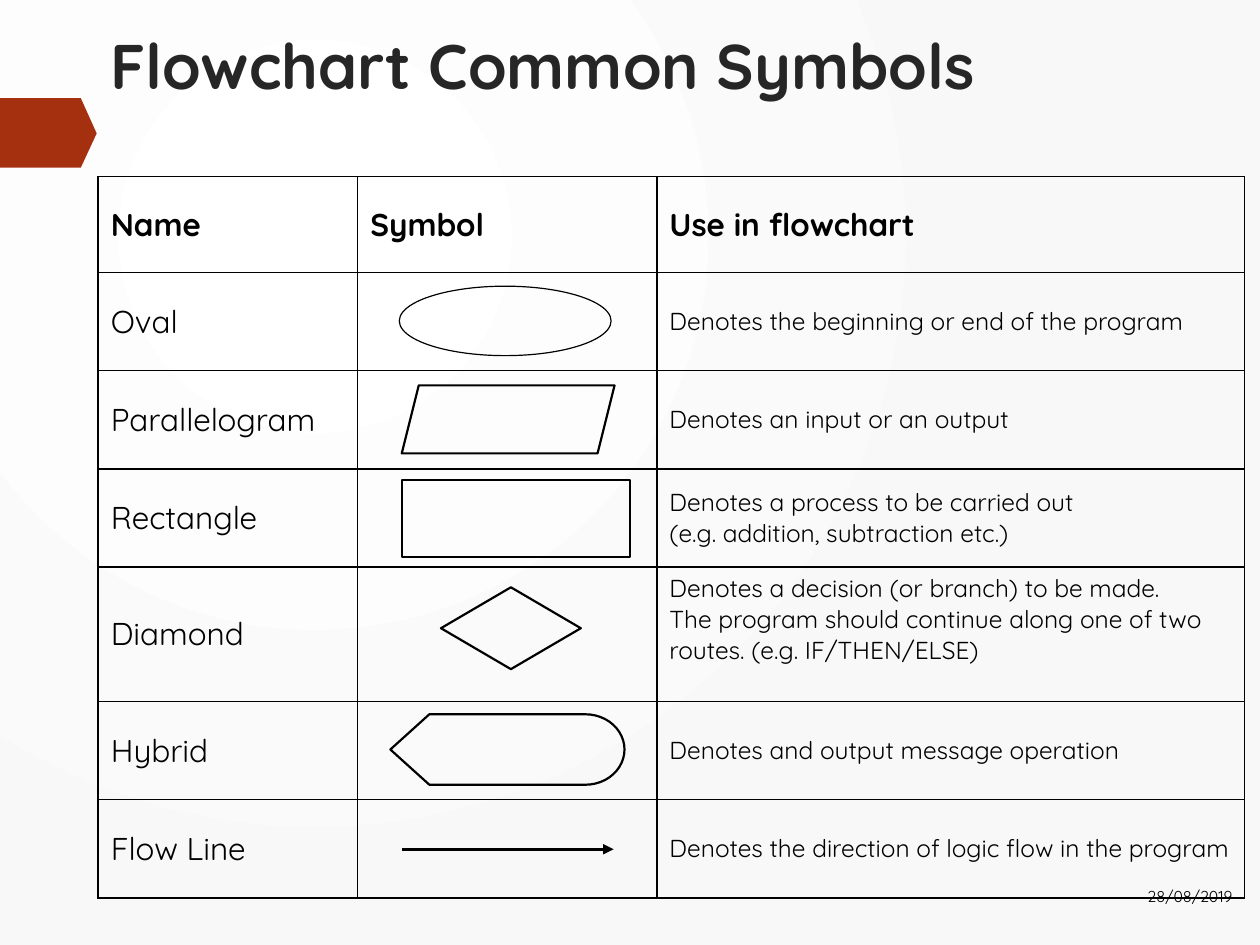
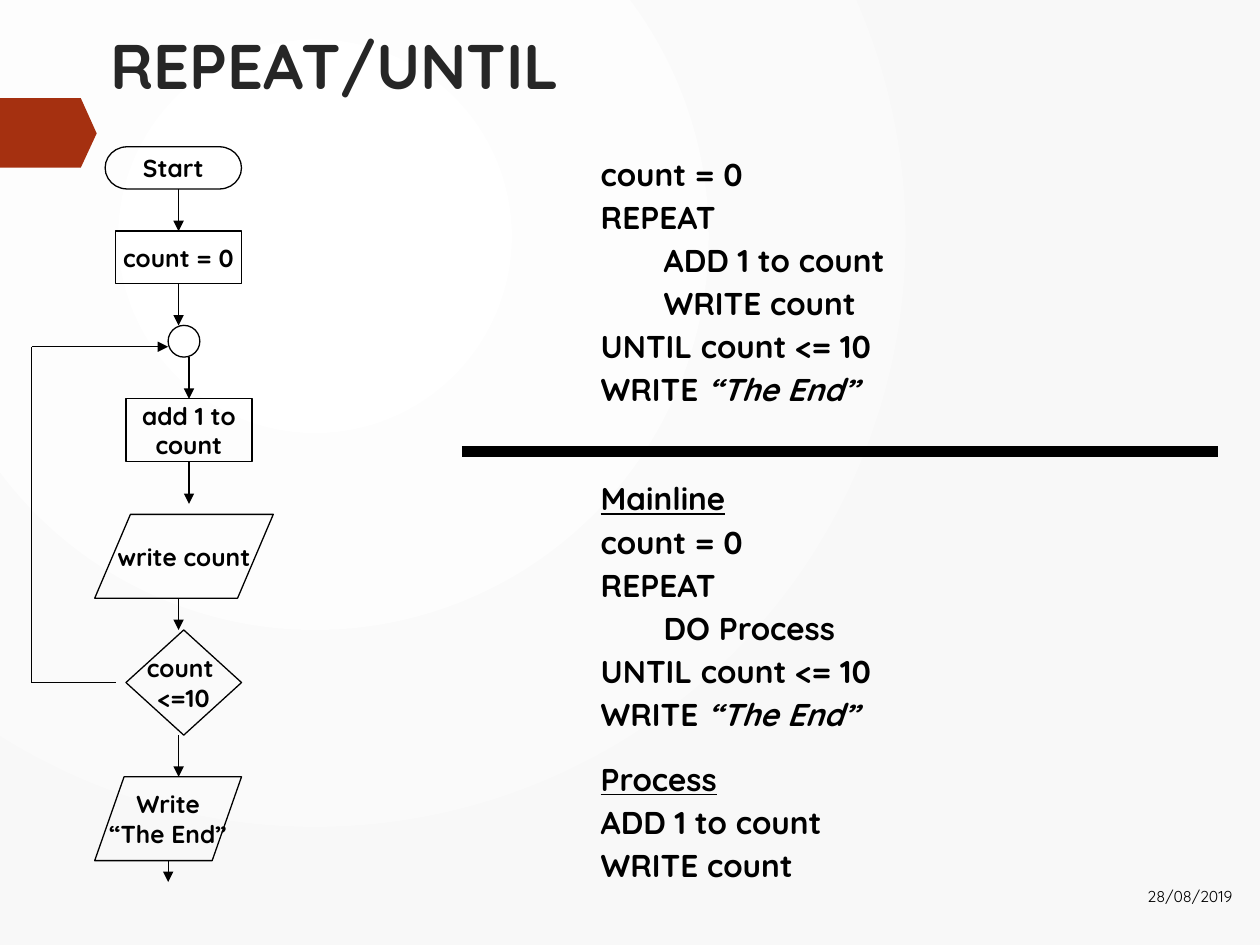
from lxml.etree import SubElement
from pptx import Presentation
from pptx.dml.color import RGBColor
from pptx.enum.shapes import MSO_CONNECTOR, MSO_SHAPE
from pptx.enum.text import MSO_ANCHOR, PP_ALIGN
from pptx.oxml.ns import qn
from pptx.util import Cm, Pt

FONT = "Quicksand"
BLACK = "000000"
TITLE_COLOR = "262626"
ACCENT = "A53010"
BACKGROUND = ("FFFFFF", "F8F8F8")
DATE = "28/08/2019"
TOP, BOTTOM = 0, 2

SYMBOL_ROWS = [
    ("Name", "Symbol", "Use in flowchart"),
    ("Oval", "", "Denotes the beginning or end of the program"),
    ("Parallelogram", "", "Denotes an input or an output"),
    ("Rectangle", "", "Denotes a process to be carried out\n(e.g. addition, subtraction etc.)"),
    ("Diamond", "", "Denotes a decision (or branch) to be made.\n"
     "The program should continue along one of two routes. (e.g. IF/THEN/ELSE)"),
    ("Hybrid", "", "Denotes and output message operation"),
    ("Flow Line", "", "Denotes the direction of logic flow in the program"),
]
COLUMN_WIDTHS = (5.23, 6.03, 11.85)
HEADER_HEIGHT, ROW_HEIGHT, DIAMOND_HEIGHT = 1.93, 1.98, 2.71


def color(hex_string):
    return RGBColor.from_string(hex_string)


def write(tf, text, size=18, bold=False, italic=False, underline=False, fill=BLACK,
          align=None, before=0, spacing=None, indent=0, append=False):
    for line in text.split("\n"):
        p = tf.paragraphs[-1]
        if p.runs and not append:
            p = tf.add_paragraph()
        if not append:
            if indent:
                p._p.get_or_add_pPr().set("marL", str(Cm(indent)))
            p.alignment = align
            p.line_spacing = spacing
            p.space_before = Pt(before)
        r = p.add_run()
        r.text = line
        f = r.font
        f.name, f.size = FONT, Pt(size)
        f.bold, f.italic, f.underline = bold, italic, underline
        f.color.rgb = color(fill)


def add_box(s, x, y, w, h, anchor=MSO_ANCHOR.TOP):
    tf = s.shapes.add_textbox(Cm(x), Cm(y), Cm(w), Cm(h)).text_frame
    tf.word_wrap = True
    tf.vertical_anchor = anchor
    return tf


def add_symbol(s, kind, x, y, w, h, text="", width=0.75):
    sp = s.shapes.add_shape(kind, Cm(x), Cm(y), Cm(w), Cm(h))
    sp.shadow.inherit = False
    sp.fill.background()
    sp.line.color.rgb = color(BLACK)
    sp.line.width = Pt(width)
    if text:
        tf = sp.text_frame
        tf.word_wrap = False
        tf.vertical_anchor = MSO_ANCHOR.MIDDLE
        write(tf, text, size=14, bold=True, align=PP_ALIGN.CENTER)
    return sp


def add_line(s, x1, y1, x2, y2, width=0.75, arrow=True, begin=None, end=None):
    c = s.shapes.add_connector(MSO_CONNECTOR.STRAIGHT, Cm(x1), Cm(y1), Cm(x2), Cm(y2))
    c.line.color.rgb = color(BLACK)
    c.line.width = Pt(width)
    spPr = c._element.spPr
    if arrow:
        SubElement(spPr.find(qn("a:ln")), qn("a:tailEnd"), type="triangle")
    SubElement(spPr, qn("a:effectLst"))
    if begin:
        c.begin_connect(begin, BOTTOM)
    if end:
        c.end_connect(end, TOP)


def set_background(prs):
    master = prs.slide_master
    fill = master.background.fill
    fill.gradient()
    for stop, shade in zip(fill.gradient_stops, BACKGROUND):
        stop.color.rgb = color(shade)
    grad = master.element.find(".//" + qn("a:gradFill"))
    grad.remove(grad.find(qn("a:lin")))
    radial = SubElement(grad, qn("a:path"), path="circle")
    SubElement(radial, qn("a:fillToRect"), l="50000", t="50000", r="100000", b="100000")


def add_slide(prs, title):
    s = prs.slides.add_slide(prs.slide_layouts[6])
    outline = [(1.63, 1.98), (1.95, 2.69), (1.63, 3.38), (0, 3.38)]
    builder = s.shapes.build_freeform(Cm(0), Cm(1.98))
    builder.add_line_segments([(Cm(x), Cm(y)) for x, y in outline], close=True)
    tag = builder.convert_to_shape()
    tag.shadow.inherit = False
    tag.fill.solid()
    tag.fill.fore_color.rgb = color(ACCENT)
    tag.line.fill.background()
    write(add_box(s, 1.98, 0.41, 23.11, 2.26), title, size=36, bold=True, fill=TITLE_COLOR)
    return s


def add_date(s):
    tf = add_box(s, 21.36, 17.55, 3.73, 1.02, MSO_ANCHOR.MIDDLE)
    write(tf, DATE, size=9, align=PP_ALIGN.RIGHT)


def format_cell(cell):
    tcPr = cell._tc.get_or_add_tcPr()
    for side in ("lnL", "lnR", "lnT", "lnB"):
        ln = SubElement(tcPr, qn("a:" + side), w=str(Pt(1)))
        SubElement(SubElement(ln, qn("a:solidFill")), qn("a:srgbClr"), val=BLACK)
    cell.fill.background()
    cell.vertical_anchor = MSO_ANCHOR.MIDDLE


def add_symbol_table(s):
    heights = [ROW_HEIGHT] * len(SYMBOL_ROWS)
    heights[0], heights[4] = HEADER_HEIGHT, DIAMOND_HEIGHT
    table = s.shapes.add_table(len(heights), len(COLUMN_WIDTHS), Cm(1.98), Cm(3.56),
                               Cm(sum(COLUMN_WIDTHS)), Cm(sum(heights))).table
    table.first_row = table.horz_banding = False
    for column, w in zip(table.columns, COLUMN_WIDTHS):
        column.width = Cm(w)
    for i, (texts, h) in enumerate(zip(SYMBOL_ROWS, heights)):
        table.rows[i].height = Cm(h)
        for j, text in enumerate(texts):
            cell = table.cell(i, j)
            format_cell(cell)
            if text:
                write(cell.text_frame, text, size=14 if i and j == 2 else 18, bold=i == 0)
    table.cell(4, 2).vertical_anchor = MSO_ANCHOR.TOP


def add_code(tf, lines):
    for i, line in enumerate(lines):
        heading = line in ("Mainline", "Process")
        before = 0 if i == 0 else 20.9 if heading else 8.4
        indent = 1.27 if line.startswith("\t") else 0
        plain, quote, quoted = line.strip().partition("“")
        write(tf, plain, bold=True, underline=heading, before=before, spacing=0.75,
              indent=indent)
        if quote:
            write(tf, quote + quoted, bold=True, italic=True, append=True)


def build_symbols(prs):
    s = add_slide(prs, "Flowchart Common Symbols")
    add_symbol_table(s)
    add_symbol(s, MSO_SHAPE.OVAL, 8.05, 5.77, 4.27, 1.4, width=0.67)
    for kind, x, y, w, h in [
        (MSO_SHAPE.PARALLELOGRAM, 8.1, 7.77, 4.29, 1.37),
        (MSO_SHAPE.RECTANGLE, 8.1, 9.68, 4.6, 1.55),
        (MSO_SHAPE.DIAMOND, 8.89, 11.84, 2.82, 1.65),
        (MSO_SHAPE.FLOWCHART_DISPLAY, 7.87, 14.4, 4.72, 1.42),
    ]:
        add_symbol(s, kind, x, y, w, h, width=1.25)
    add_line(s, 8.1, 17.12, 12.37, 17.12, width=1.5)
    add_date(s)


def add_flowchart(s):
    add_symbol(s, MSO_SHAPE.FLOWCHART_TERMINATOR, 2.12, 2.96, 2.75, 0.85, "Start")
    set_count = add_symbol(s, MSO_SHAPE.FLOWCHART_PROCESS, 2.33, 4.66, 2.54, 1.06, "count = 0")
    add_symbol(s, MSO_SHAPE.FLOWCHART_CONNECTOR, 3.39, 6.56, 0.64, 0.64)
    add_one = add_symbol(s, MSO_SHAPE.FLOWCHART_PROCESS, 2.54, 8.04, 2.54, 1.27,
                         "add 1 to\ncount")
    add_symbol(s, MSO_SHAPE.FLOWCHART_DATA, 1.91, 10.37, 3.6, 1.69, "write count")
    add_symbol(s, MSO_SHAPE.FLOWCHART_DECISION, 2.54, 12.7, 2.33, 2.12, "count \n<=10")
    add_symbol(s, MSO_SHAPE.FLOWCHART_DATA, 1.91, 15.66, 2.96, 1.69, "Write\n“The End”")

    for x, y1, y2, begin, end in [
        (3.6, 3.81, 4.66, None, set_count),
        (3.6, 5.72, 6.56, set_count, None),
        (3.81, 7.2, 8.04, None, add_one),
        (3.81, 9.31, 10.16, add_one, None),
        (3.6, 12.07, 12.7, None, None),
        (3.6, 14.82, 15.66, None, None),
        (3.39, 17.36, 17.78, None, None),
    ]:
        add_line(s, x, y1, x, y2, begin=begin, end=end)

    loop_x, loop_top, loop_bottom = 0.64, 6.99, 13.76
    add_line(s, 2.33, loop_bottom, loop_x, loop_bottom, arrow=False)
    add_line(s, loop_x, loop_bottom, loop_x, loop_top, arrow=False)
    add_line(s, loop_x, loop_top, 3.39, loop_top)


def build_repeat(prs):
    s = add_slide(prs, "REPEAT/UNTIL")
    add_flowchart(s)
    start = ["count = 0", "REPEAT"]
    body = ["ADD 1 to count", "WRITE count"]
    finish = ["UNTIL count <= 10", "WRITE “The End”"]
    add_code(add_box(s, 11.86, 3.18, 13.13, 5.61),
             start + ["\t" + line for line in body] + finish)
    add_code(add_box(s, 11.86, 9.72, 12.7, 9.2),
             ["Mainline"] + start + ["\tDO Process"] + finish + ["Process"] + body)
    add_line(s, 9.31, 9.1, 24.55, 9.1, width=6, arrow=False)
    add_date(s)


def main():
    prs = Presentation()
    prs.slide_width, prs.slide_height = Cm(25.4), Cm(19.05)
    set_background(prs)
    build_symbols(prs)
    build_repeat(prs)
    prs.save("out.pptx")


if __name__ == "__main__":
    main()
